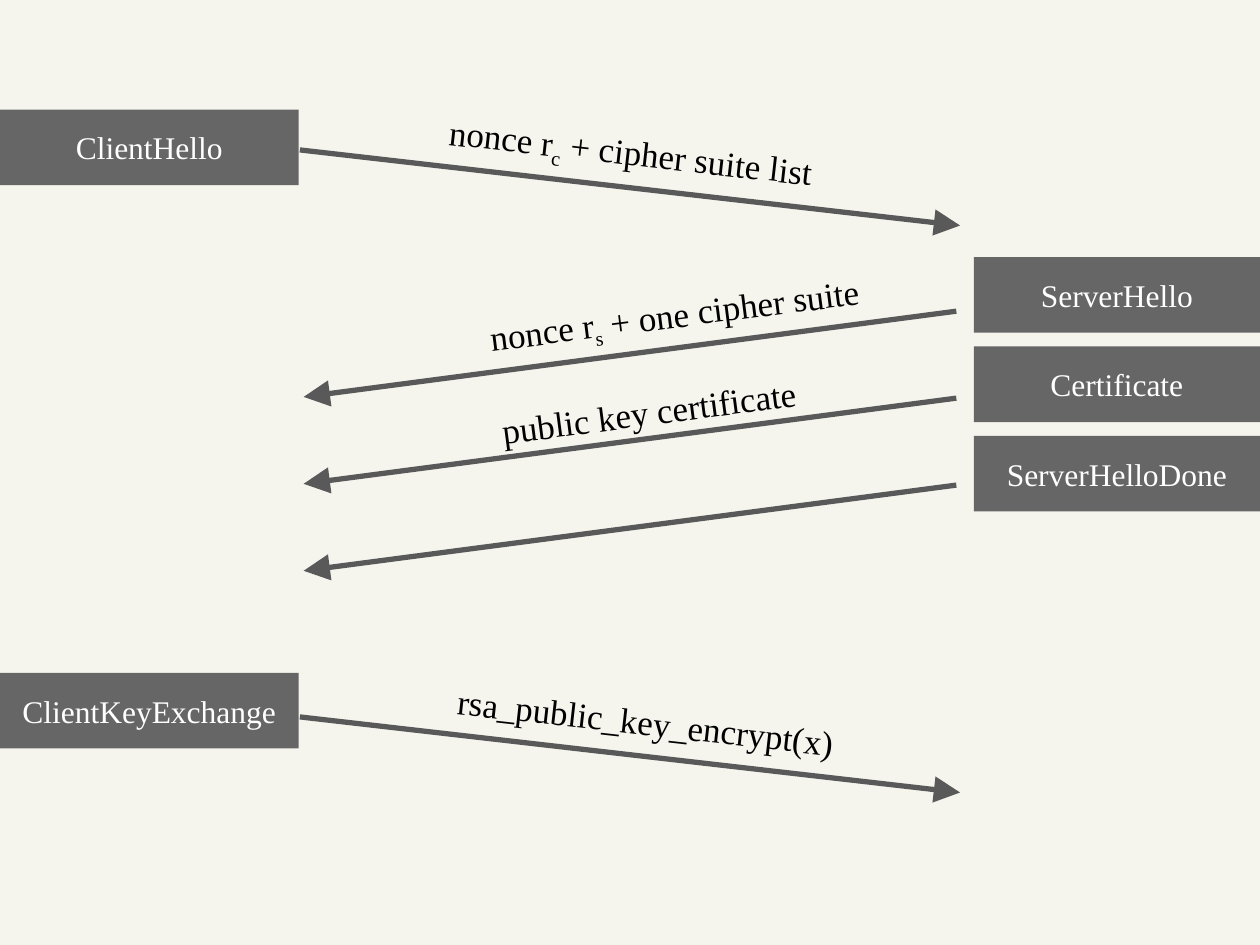
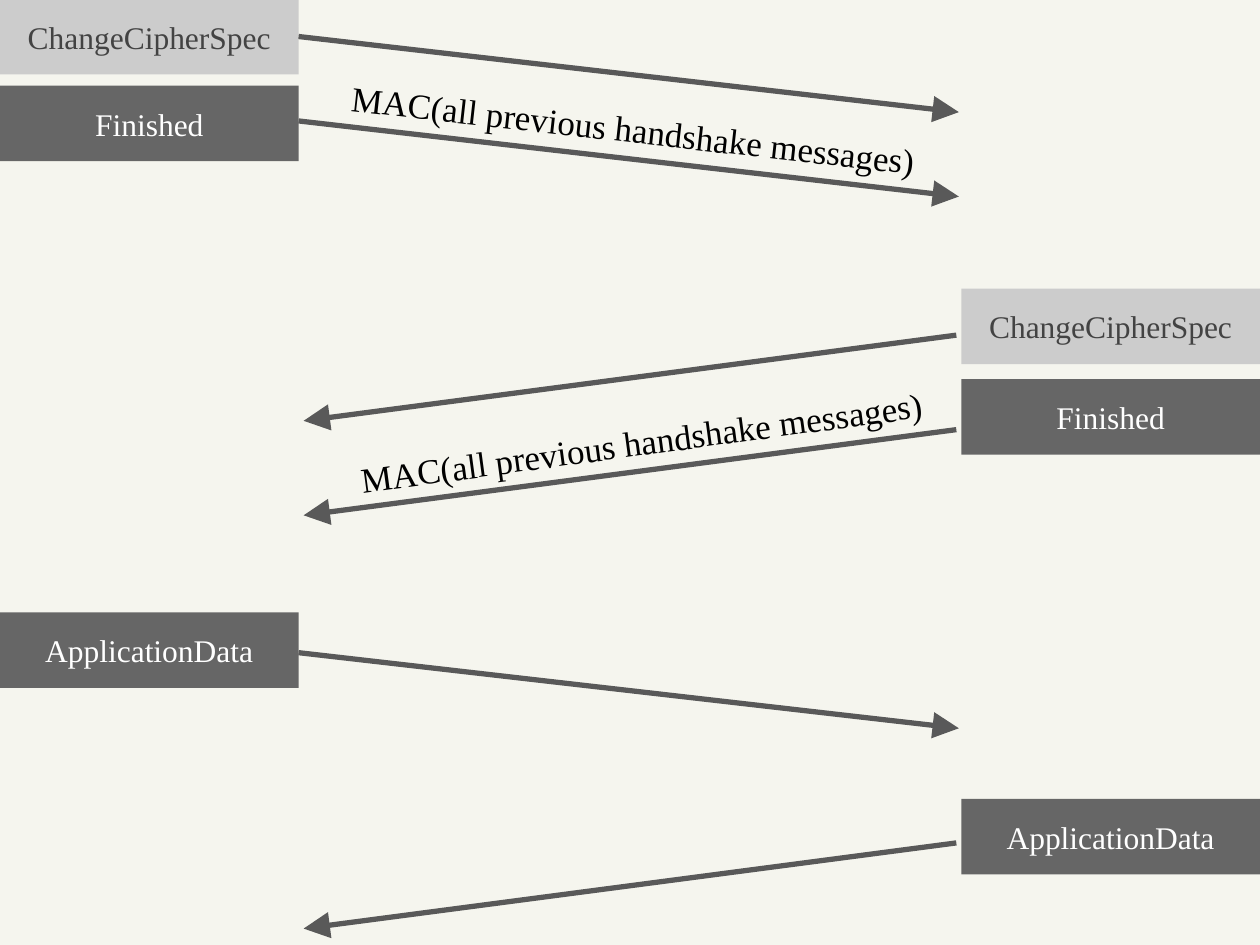
from dataclasses import dataclass

from lxml.etree import SubElement
from pptx import Presentation
from pptx.dml.color import RGBColor
from pptx.enum.shapes import MSO_CONNECTOR, MSO_SHAPE
from pptx.enum.text import MSO_ANCHOR, PP_ALIGN
from pptx.oxml.ns import qn
from pptx.util import Inches, Pt


@dataclass(frozen=True)
class Theme:
    font: str = "Times New Roman"
    background: RGBColor = RGBColor(0xF5, 0xF5, 0xEE)
    box: RGBColor = RGBColor(0x66, 0x66, 0x66)
    box_text: RGBColor = RGBColor(0xFF, 0xFF, 0xFF)
    light_box: RGBColor = RGBColor(0xCC, 0xCC, 0xCC)
    light_text: RGBColor = RGBColor(0x43, 0x43, 0x43)
    arrow: RGBColor = RGBColor(0x59, 0x59, 0x59)
    label: RGBColor = RGBColor(0, 0, 0)
    box_size: Pt = Pt(18)
    label_size: Pt = Pt(20)
    arrow_width: Pt = Pt(3)


SLIDE_W, SLIDE_H = 10, 7.5
BOX_W, BOX_H = 2.37, 0.6
LABEL_H = 0.67
CLIENT_X, SERVER_X = 2.41, 7.59
CLIENT_DROP, SERVER_DROP = 0.6, 0.68
CLIENT_REACH = 5.24
CLIENT_TILT = 6.4


class Handshake:
    """Draws messages between a client on the left and a server on the right."""

    def __init__(self, prs, theme):
        self.prs = prs
        self.theme = theme
        self.s = None
        fill = prs.slide_master.background.fill
        fill.solid()
        fill.fore_color.rgb = theme.background

    def new_slide(self):
        self.s = self.prs.slides.add_slide(self.prs.slide_layouts[6])

    def add_text(self, sp, runs, size, color):
        """Fill sp with one centred paragraph; runs are (text, is_subscript)."""
        tf = sp.text_frame
        tf.word_wrap = True
        tf.vertical_anchor = MSO_ANCHOR.MIDDLE
        tf.margin_left = tf.margin_right = Inches(0.1)
        tf.margin_top = tf.margin_bottom = Inches(0.1)
        p = tf.paragraphs[0]
        p.alignment = PP_ALIGN.CENTER
        for text, is_subscript in runs:
            r = p.add_run()
            r.text = text
            r.font.name = self.theme.font
            r.font.size = size
            r.font.color.rgb = color
            if is_subscript:
                r.font._element.set("baseline", "-25000")

    def box(self, text, left, top, width, light):
        t = self.theme
        sp = self.s.shapes.add_shape(
            MSO_SHAPE.RECTANGLE, Inches(left), Inches(top), Inches(width), Inches(BOX_H))
        sp.shadow.inherit = False
        sp.fill.solid()
        sp.fill.fore_color.rgb = t.light_box if light else t.box
        sp.line.fill.background()
        self.add_text(sp, [(text, False)], t.box_size, t.light_text if light else t.box_text)

    def client_box(self, text, top, light=False):
        self.box(text, 0, top, BOX_W, light)

    def server_box(self, text, top, width=BOX_W, light=False):
        self.box(text, SLIDE_W - width, top, width, light)

    def arrow(self, x1, y1, x2, y2):
        line = self.s.shapes.add_connector(
            MSO_CONNECTOR.STRAIGHT, Inches(x1), Inches(y1), Inches(x2), Inches(y2))
        line.line.color.rgb = self.theme.arrow
        line.line.width = self.theme.arrow_width
        SubElement(line.get_or_add_ln(), qn("a:tailEnd"),
                   type="triangle", w="lg", len="lg")
        SubElement(line._element.spPr, qn("a:effectLst"))

    def client_arrow(self, y, x=BOX_W):
        self.arrow(x, y, x + CLIENT_REACH, y + CLIENT_DROP)

    def server_arrow(self, y):
        self.arrow(SERVER_X, y, CLIENT_X, y + SERVER_DROP)

    def label(self, left, top, width, tilt, text, subscript="", rest=""):
        sp = self.s.shapes.add_textbox(
            Inches(left), Inches(top), Inches(width), Inches(LABEL_H))
        sp.rotation = tilt
        runs = [(text, False), (subscript, True), (rest, False)]
        self.add_text(sp, [run for run in runs if run[0]],
                      self.theme.label_size, self.theme.label)


def key_exchange_slide(h):
    h.new_slide()
    h.client_box("ClientHello", 0.87)
    h.client_arrow(1.19, x=2.38)
    h.label(2.72, 0.89, 4.57, CLIENT_TILT, "nonce r", "c", " + cipher suite list")

    for i, name in enumerate(["ServerHello", "Certificate", "ServerHelloDone"]):
        h.server_box(name, 2.04 + 0.71 * i, width=2.27)
        h.server_arrow(2.47 + 0.69 * i)
    h.label(3.07, 2.18, 4.57, -7.3, "nonce r", "s", " + one cipher suite")
    h.label(2.96, 2.93, 4.38, -7.5, "public key certificate")

    h.client_box("ClientKeyExchange", 5.34)
    h.client_arrow(5.69, x=2.38)
    h.label(3.02, 5.39, 4.21, CLIENT_TILT, "rsa_public_key_encrypt(x)")


def finish_slide(h):
    mac = "MAC(all previous handshake messages)"
    h.new_slide()
    h.client_box("ChangeCipherSpec", -0.01, light=True)
    h.client_box("Finished", 0.68)
    h.server_box("ChangeCipherSpec", 2.29, light=True)
    h.server_box("Finished", 3.01)
    h.client_box("ApplicationData", 4.86)
    h.server_box("ApplicationData", 6.34)
    for y in (0.29, 0.96, 5.18):
        h.client_arrow(y)
    for y in (2.66, 3.41, 6.69):
        h.server_arrow(y)
    h.label(2.3, 0.69, 5.45, CLIENT_TILT, mac)
    h.label(2.47, 3.17, 5.24, -7.7, mac)


def main():
    prs = Presentation()
    prs.slide_width, prs.slide_height = Inches(SLIDE_W), Inches(SLIDE_H)
    h = Handshake(prs, Theme())
    key_exchange_slide(h)
    finish_slide(h)
    prs.save("out.pptx")


if __name__ == "__main__":
    main()
